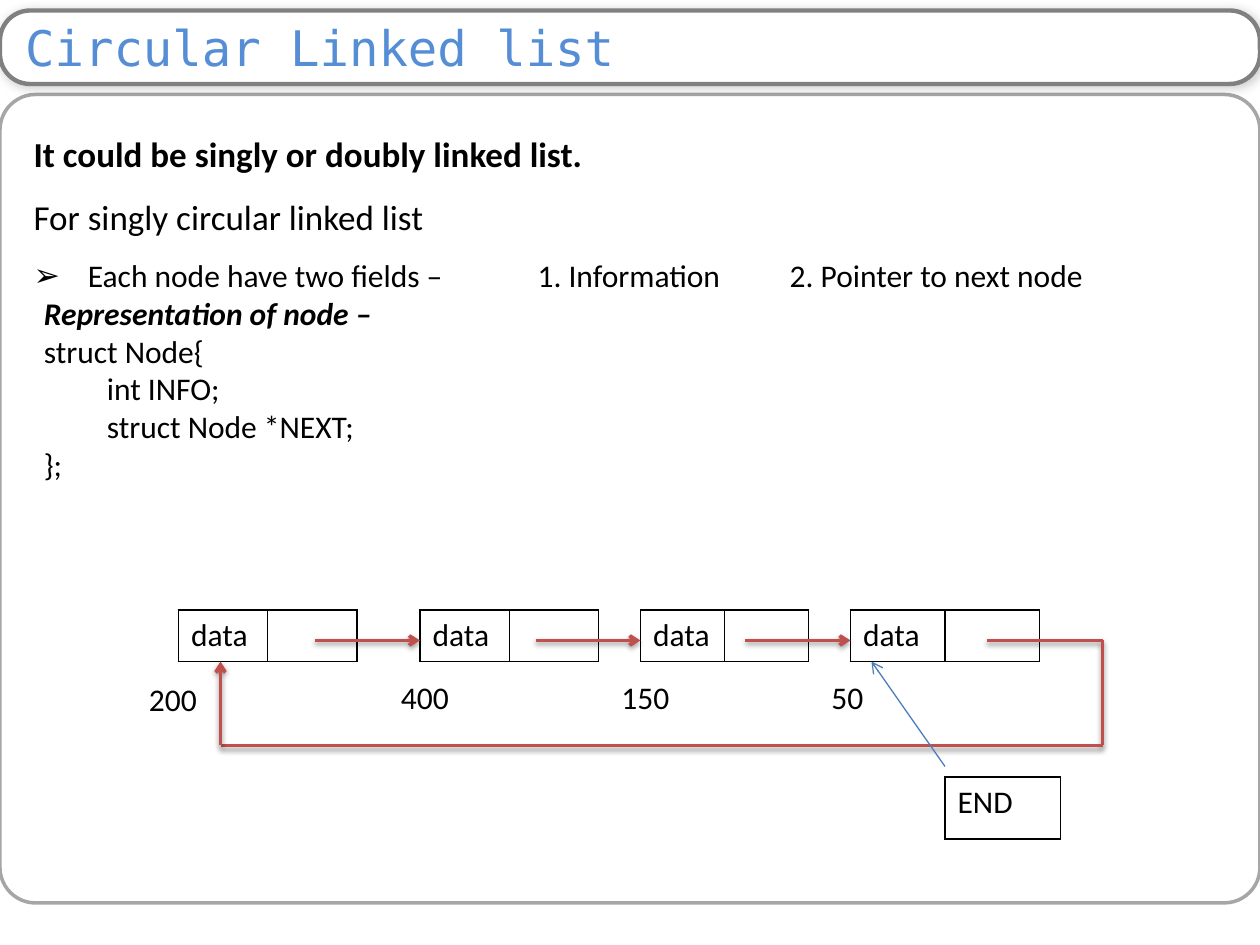
"""Build a slide that explains a circular linked list."""
from lxml.etree import SubElement
from pptx import Presentation
from pptx.dml.color import RGBColor
from pptx.enum.shapes import MSO_CONNECTOR as CONN, MSO_SHAPE as SHAPE
from pptx.enum.text import MSO_ANCHOR as ANCHOR, MSO_AUTO_SIZE as AUTO, PP_ALIGN as ALIGN
from pptx.oxml.ns import qn
from pptx.util import Inches, Pt

COLORS = {"black": "000000", "white": "FFFFFF", "title": "558ED5", "frame": "808080",
          "panel": "A6A6A6", "link": "C0504D", "pointer": "4B7EBC"}
COLS, ROWS = 120, 90
BODY_FONT, TITLE_FONT = "Calibri", "DejaVu Sans Mono"
LINK_SHADOW = (38, 3.1, 1.6, 90)
NODES = [(17, 17, "200", 13, 64.2), (40, 17, "400", 37, 64),
         (61, 16, "150", 58, 64), (81, 18, "50", 78, 64)]
LINK_STARTS = [30, 51, 71]
LINK_ROW, LOOP_ROW, NODE_BOTTOM = 61, 71, 63


def grid(*cells):
    """Turn alternating columns and rows into lengths."""
    return [Inches(c * (10 / COLS if i % 2 == 0 else 7.5 / ROWS)) for i, c in enumerate(cells)]


def rgb(name):
    """Look up a colour by name."""
    return RGBColor.from_string(COLORS[name])


def place(shape, *cells):
    """Move a shape to its grid cells."""
    shape.left, shape.top, shape.width, shape.height = grid(*cells)


def add_run(p, text, size=18, bold=False, italic=False, font=BODY_FONT, color="black"):
    """Append a formatted run to a paragraph."""
    r = p.add_run()
    r.text = text
    f = r.font
    f.size, f.bold, f.italic, f.name = Pt(size), bold, italic, font
    f.color.rgb = rgb(color)


def set_effect(shape, shadow=None):
    """Give a shape an outer shadow, or none at all."""
    effects = SubElement(shape.element.spPr, qn("a:effectLst"))
    if shadow:
        alpha, blur, dist, angle = shadow
        outer = SubElement(effects, qn("a:outerShdw"), blurRad=str(Pt(blur)),
                           dist=str(Pt(dist)), dir=str(angle * 60000), rotWithShape="0")
        black = SubElement(outer, qn("a:srgbClr"), val=COLORS["black"])
        SubElement(black, qn("a:alpha"), val=str(alpha * 1000))


def add_frame(s, cells, adj, color, width, fill=None, shadow=None):
    """Draw a rounded frame."""
    sp = s.shapes.add_shape(SHAPE.ROUNDED_RECTANGLE, *grid(*cells))
    sp.adjustments[0] = adj
    if fill:
        sp.fill.solid()
        sp.fill.fore_color.rgb = rgb(fill)
    else:
        sp.fill.background()
    sp.line.color.rgb = rgb(color)
    sp.line.width = Pt(width)
    set_effect(sp, shadow)


def add_line(s, start, end, color="link", width=2, arrow=False, shadow=LINK_SHADOW):
    """Draw a straight line, with an arrowhead at its end if asked."""
    line = s.shapes.add_connector(CONN.STRAIGHT, *grid(*start, *end))
    line.line.color.rgb = rgb(color)
    line.line.width = Pt(width)
    if arrow:
        SubElement(line.line._get_or_add_ln(), qn("a:tailEnd"), type="arrow")
    set_effect(line, shadow)


def add_text(s, cells, lines):
    """Add a text box; each line is a text and its run options."""
    tf = s.shapes.add_textbox(*grid(*cells)).text_frame
    tf.word_wrap = True
    for i, (text, options) in enumerate(lines):
        p = tf.paragraphs[0] if i == 0 else tf.add_paragraph()
        add_run(p, text, **options)


def add_cells(s, cells, texts):
    """Add a one-row table with thin black borders."""
    table = s.shapes.add_table(1, len(texts), *grid(*cells)).table
    table.first_row = table.horz_banding = False
    for cell, text in zip(table.rows[0].cells, texts):
        tc_pr = cell._tc.get_or_add_tcPr()
        for side in ("lnL", "lnR", "lnT", "lnB"):
            ln = SubElement(tc_pr, qn(f"a:{side}"), w=str(Pt(1)))
            fill = SubElement(ln, qn("a:solidFill"))
            SubElement(fill, qn("a:srgbClr"), val=COLORS["black"])
        cell.fill.background()
        if text:
            add_run(cell.text_frame.paragraphs[0], text)


def fill_title(title, text):
    """Write the title over its frame."""
    place(title, 0, 1, 120, 7)
    tf = title.text_frame
    tf.auto_size, tf.vertical_anchor = AUTO.NONE, ANCHOR.MIDDLE
    tf.margin_left, tf.margin_right = Inches(0.2), Inches(0.1)
    tf.margin_top = tf.margin_bottom = 0
    p = tf.paragraphs[0]
    p.alignment = ALIGN.LEFT
    add_run(p, text, 28, font=TITLE_FONT, color="title")


def fill_body(body):
    """Write the introduction, whose last line is bulleted and tabbed."""
    place(body, 2, 10, 116, 22.4)
    tf = body.text_frame
    tf.auto_size, tf.vertical_anchor = AUTO.NONE, ANCHOR.TOP
    lines = [("It could be singly or doubly linked list.", 20, True, None),
             ("For singly circular linked list", 20, False, None),
             ("Each node have two fields – \t1. Information\t2. Pointer to next node",
              18, False, "➢")]
    for i, (text, size, bold, bullet) in enumerate(lines):
        p = tf.paragraphs[0] if i == 0 else tf.add_paragraph()
        p.line_spacing, p.space_before = 1.5, Pt(0)
        p_pr = p._p.get_or_add_pPr()
        indent = Inches(0.43) if bullet else 0
        p_pr.set("marL", str(indent))
        p_pr.set("indent", str(-indent))
        if bullet:
            SubElement(p_pr, qn("a:buChar"), char=bullet)
            tabs = SubElement(p_pr, qn("a:tabLst"))
            for stop in (4, 6):
                SubElement(tabs, qn("a:tab"), pos=str(Inches(stop)), algn="l")
        else:
            SubElement(p_pr, qn("a:buNone"))
        add_run(p, text, size, bold)


def add_nodes(s):
    """Draw the nodes, their addresses and the links between them."""
    for left, width, address, label_left, label_top in NODES:
        add_cells(s, (left, 58.1, width, 4.9), ["data", ""])
        add_text(s, (label_left, label_top, 10, 4.8), [(address, {})])
    for start, node in zip(LINK_STARTS, NODES[1:]):
        add_line(s, (start, LINK_ROW), (node[0], LINK_ROW), arrow=True)


def add_loop(s):
    """Draw the link from the last node back to the first."""
    points = [(94, LINK_ROW), (105, LINK_ROW), (105, LOOP_ROW),
              (21, LOOP_ROW), (21, NODE_BOTTOM)]
    for start, end in zip(points, points[1:]):
        add_line(s, start, end, arrow=end == points[-1])


def main():
    """Build and save the slide."""
    prs = Presentation()
    prs.slide_width, prs.slide_height = Inches(10), Inches(7.5)
    s = prs.slides.add_slide(prs.slide_layouts[1])
    title, body = s.placeholders
    add_frame(s, (0, 9, 120, 77), 0.044, "panel", 2)
    add_frame(s, (0, 1, 120, 7), 0.409, "frame", 2.5, "white", (20, 6, 1, 45))
    for holder in (title, body):
        s.shapes.element.append(holder.element)
    fill_title(title, "Circular Linked list")
    fill_body(body)
    add_text(s, (3, 27.4, 108, 19.4),
             [("Representation of node –", {"bold": True, "italic": True})]
             + [(code, {}) for code in
                ("struct Node{", "\tint INFO;", "\tstruct Node *NEXT;", "};")])
    add_nodes(s)
    add_loop(s)
    add_cells(s, (90, 74, 11, 5.9), ["END"])
    add_line(s, (90, 73), (83, NODE_BOTTOM), "pointer", 0.75, arrow=True, shadow=None)
    prs.save("out.pptx")


main()
